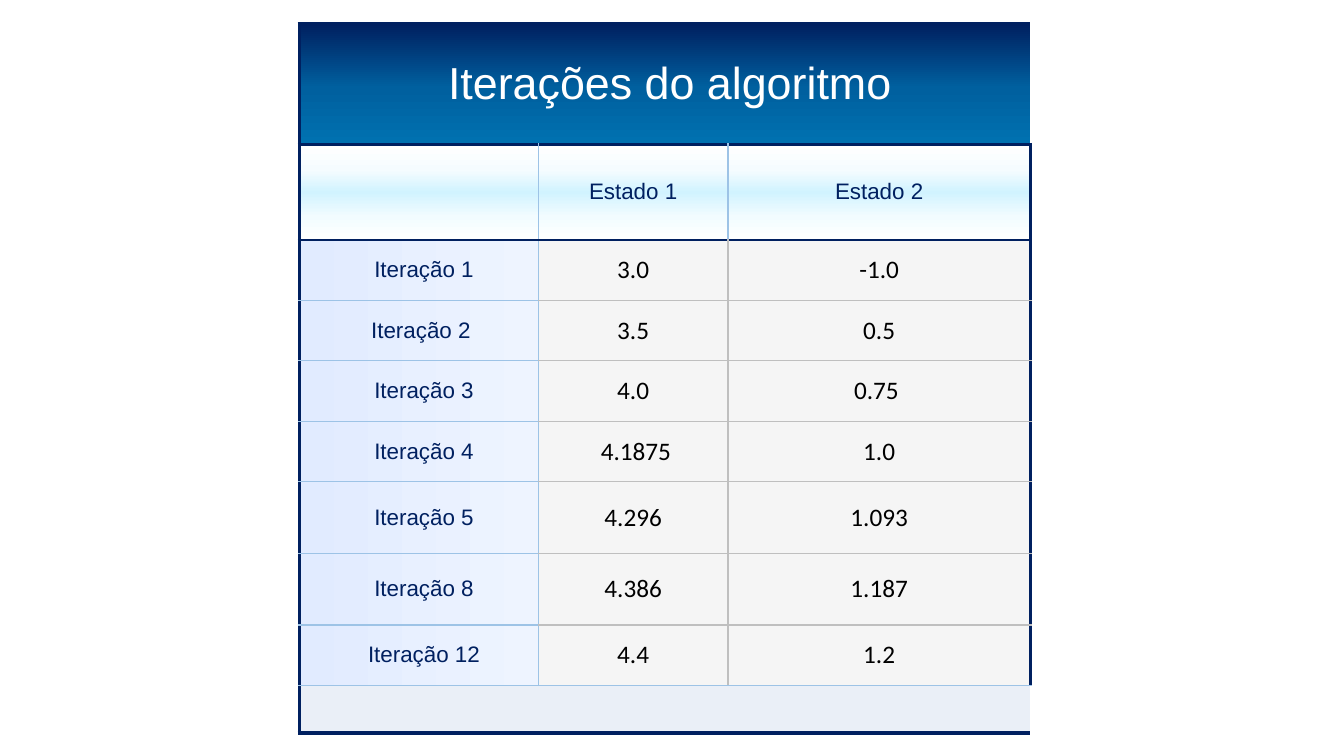
import pptx
import pptx.util
import pptx.dml.color
import pptx.enum.text
import pptx.oxml.ns
import lxml.etree

# Content
TITLE = "Iterações do algoritmo"
HEADINGS = ["", "Estado 1", "Estado 2"]
ITERATIONS = [
    ("Iteração 1", "3.0", "-1.0"),
    ("Iteração 2 ", "3.5", "0.5"),
    ("Iteração 3", "4.0", "0.75 "),
    ("Iteração 4", " 4.1875", "1.0"),
    ("Iteração 5", "4.296", "1.093"),
    ("Iteração 8", "4.386", "1.187"),
    ("Iteração 12", "4.4", "1.2"),
]
ROWS = [(TITLE, "", ""), HEADINGS, *ITERATIONS, ("", "", "")]

# Look: gradients are (angle, [(share, colour), ...])
COLOURS = {"navy": "002060", "sky": "9DC3E6", "grey": "BFBFBF",
           "white": "FFFFFF", "black": "000000",
           "value": "F5F5F5", "footer": "EAEFF7"}
GRADIENTS = {
    "title": (90, [(0, "002060"), (53, "00609F"), (100, "0071B0")]),
    "heading": (90, [(0, "FFFFFF"), (27, "F5FCFF"), (50, "D1F3FF"),
                     (76, "F2FCFF"), (100, "FFFFFF")]),
    "label": (0, [(0, "E1EBFF"), (100, "EEF4FF")]),
}
TEXT = {  # size, font, colour
    "title": (32, "Arial", "white"),
    "heading": (16, "Arial", "navy"),
    "label": (16, "Arial", "navy"),
    "value": (18, "Calibri", "black"),
}

# Grid, in inches
SLIDE = (13.33, 7.5)
LEFT, TOP = 2.97, 0.24
WIDTHS = [2.37, 1.88, 3]
HEIGHTS = [1.19, 0.95] + [0.6] * 4 + [0.71] * 2 + [0.6, 0.47]
LAST_ROW, LAST_COLUMN = len(HEIGHTS) - 1, len(WIDTHS) - 1


def part_of(row, column):
    if row == 0:
        return "title"
    if row == 1:
        return "heading"
    if row == LAST_ROW:
        return "footer"
    return "value" if column else "label"


def horizontal_rule(line, column):
    """Colour and width of the rule above row number `line`."""
    if line in (0, LAST_ROW + 1):
        return "navy", 3
    if line in (1, 2):
        return "navy", 2.25
    return ("sky" if column == 0 or line == LAST_ROW else "grey"), 1


def vertical_rule(line, row):
    """Colour and width of the rule left of column number `line`."""
    if line in (0, LAST_COLUMN + 1):
        return "navy", 3
    if row in (0, LAST_ROW):
        return None
    return ("sky" if line == 1 or row == 1 else "grey"), 1


def add_element(parent, tag, **attributes):
    child = lxml.etree.SubElement(parent, pptx.oxml.ns.qn("a:" + tag))
    for name, value in attributes.items():
        child.set(name, str(value))
    return child


def add_border(properties, side, rule):
    if rule is None:
        add_element(add_element(properties, "ln" + side, w=0), "noFill")
        return
    colour, width = rule
    border = add_element(properties, "ln" + side, w=int(pptx.util.Pt(width)))
    add_element(add_element(border, "solidFill"), "srgbClr", val=COLOURS[colour])


def fill_cell(cell, properties, part):
    if part not in GRADIENTS:
        cell.fill.solid()
        cell.fill.fore_color.rgb = pptx.dml.color.RGBColor.from_string(COLOURS[part])
        return
    angle, stops = GRADIENTS[part]
    gradient = add_element(properties, "gradFill", rotWithShape=1)
    stop_list = add_element(gradient, "gsLst")
    for share, colour in stops:
        stop = add_element(stop_list, "gs", pos=share * 1000)
        add_element(stop, "srgbClr", val=colour)
    add_element(gradient, "lin", ang=angle * 60000, scaled=0)


def write_cell(cell, text, part):
    cell.vertical_anchor = pptx.enum.text.MSO_ANCHOR.MIDDLE
    if part in ("title", "label"):
        cell.margin_left = pptx.util.Inches(0.2)
    if not text:
        return
    size, font, colour = TEXT[part]
    para = cell.text_frame.paragraphs[0]
    para.alignment = pptx.enum.text.PP_ALIGN.CENTER
    span = para.add_run()
    span.text = text
    span.font.size = pptx.util.Pt(size)
    span.font.name = font
    span.font.color.rgb = pptx.dml.color.RGBColor.from_string(COLOURS[colour])


def main():
    deck = pptx.Presentation()
    deck.slide_width, deck.slide_height = map(pptx.util.Inches, SLIDE)
    page = deck.slides.add_slide(deck.slide_layouts[6])

    # Table grid
    place = [pptx.util.Inches(n) for n in (LEFT, TOP, sum(WIDTHS), sum(HEIGHTS))]
    table = page.shapes.add_table(len(HEIGHTS), len(WIDTHS), *place).table
    table.first_row = table.horz_banding = False
    for column, width in zip(table.columns, WIDTHS):
        column.width = pptx.util.Inches(width)
    for row, height in zip(table.rows, HEIGHTS):
        row.height = pptx.util.Inches(height)
    for row in (0, LAST_ROW):
        table.cell(row, 0).merge(table.cell(row, LAST_COLUMN))

    # Cells: text, then borders, then fill
    for row, texts in enumerate(ROWS):
        for column, text in enumerate(texts):
            cell = table.cell(row, column)
            part = part_of(row, column)
            write_cell(cell, text, part)
            properties = cell._tc.get_or_add_tcPr()
            add_border(properties, "L", vertical_rule(column, row))
            add_border(properties, "R", vertical_rule(column + 1, row))
            add_border(properties, "T", horizontal_rule(row, column))
            add_border(properties, "B", horizontal_rule(row + 1, column))
            fill_cell(cell, properties, part)

    deck.save("out.pptx")


if __name__ == "__main__":
    main()
